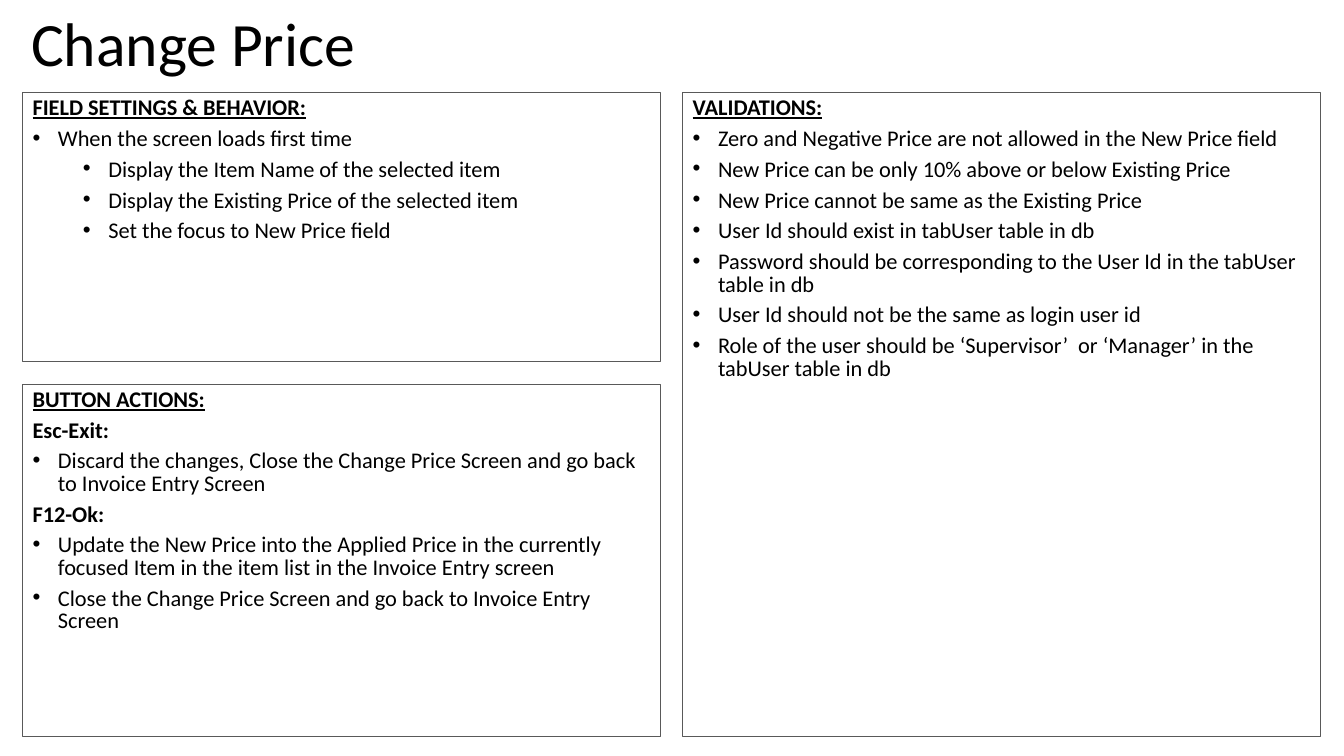
from lxml import etree
from pptx import Presentation
from pptx.dml.color import RGBColor
from pptx.enum.shapes import MSO_SHAPE
from pptx.enum.text import MSO_ANCHOR, MSO_AUTO_SIZE, PP_ALIGN
from pptx.oxml.ns import qn
from pptx.util import Cm, Pt

RECTANGLE = MSO_SHAPE.RECTANGLE
LEFT = PP_ALIGN.LEFT
TOP, MIDDLE = MSO_ANCHOR.TOP, MSO_ANCHOR.MIDDLE
NO_AUTOFIT = MSO_AUTO_SIZE.NONE

BLACK = RGBColor(0x00, 0x00, 0x00)
BORDER_GRAY = RGBColor(0x59, 0x59, 0x59)
FONT = "Calibri"
TITLE_ONLY_LAYOUT = 5

# Paragraph kinds used in the panels
HEADING, SUBHEADING, BULLET, SUB_BULLET = range(4)
TEXT_INDENT = {BULLET: Cm(0.64), SUB_BULLET: Cm(1.91)}
HANGING = Cm(0.64)

FIELD_SETTINGS = [
    (HEADING, "FIELD SETTINGS & BEHAVIOR:"),
    (BULLET, "When the screen loads first time"),
    (SUB_BULLET, "Display the Item Name of the selected item"),
    (SUB_BULLET, "Display the Existing Price of the selected item"),
    (SUB_BULLET, "Set the focus to New Price field"),
]
VALIDATIONS = [
    (HEADING, "VALIDATIONS:"),
    (BULLET, "Zero and Negative Price are not allowed in the New Price field"),
    (BULLET, "New Price can be only 10% above or below Existing Price"),
    (BULLET, "New Price cannot be same as the Existing Price"),
    (BULLET, "User Id should exist in tabUser table in db"),
    (BULLET, "Password should be corresponding to the User Id in the tabUser table in db"),
    (BULLET, "User Id should not be the same as login user id"),
    (BULLET, "Role of the user should be ‘Supervisor’  or ‘Manager’ in the tabUser table in db"),
]
BUTTON_ACTIONS = [
    (HEADING, "BUTTON ACTIONS:"),
    (SUBHEADING, "Esc-Exit:"),
    (BULLET, "Discard the changes, Close the Change Price Screen and go back to Invoice Entry Screen"),
    (SUBHEADING, "F12-Ok:"),
    (BULLET, "Update the New Price into the Applied Price in the currently focused Item "
             "in the item list in the Invoice Entry screen"),
    (BULLET, "Close the Change Price Screen and go back to Invoice Entry Screen"),
]


def write_text(paragraph, text, size=16, bold=False, underline=False,
               line_spacing=Pt(16), space=Pt(3)):
    paragraph.alignment = LEFT
    paragraph.line_spacing = line_spacing
    paragraph.space_before = paragraph.space_after = space
    run = paragraph.add_run()
    run.text = text
    font = run.font
    font.name, font.size = FONT, Pt(size)
    font.bold, font.underline = bold, underline
    font.color.rgb = BLACK


def add_bullet(paragraph, indent):
    properties = paragraph._p.get_or_add_pPr()
    properties.set("marL", str(indent))
    properties.set("indent", str(-HANGING))
    etree.SubElement(properties, qn("a:buFont"), typeface="Arial")
    etree.SubElement(properties, qn("a:buChar"), char="•")


def set_frame(text_frame, anchor):
    text_frame.word_wrap = True
    text_frame.auto_size = NO_AUTOFIT
    text_frame.vertical_anchor = anchor


def add_title(slide, text, left, top, width, height):
    title = slide.shapes.title
    title.left, title.top, title.width, title.height = left, top, width, height
    set_frame(title.text_frame, MIDDLE)
    write_text(title.text_frame.paragraphs[0], text, size=44,
               line_spacing=0.9, space=Pt(0))


def add_panel(slide, lines, left, top, width, height):
    panel = slide.shapes.add_shape(RECTANGLE, left, top, width, height)
    panel.shadow.inherit = False
    panel.fill.background()
    panel.line.color.rgb = BORDER_GRAY
    panel.line.width = Pt(0.75)
    text_frame = panel.text_frame
    set_frame(text_frame, TOP)
    for index, (kind, text) in enumerate(lines):
        paragraph = text_frame.add_paragraph() if index else text_frame.paragraphs[0]
        write_text(paragraph, text, bold=kind in (HEADING, SUBHEADING),
                   underline=kind == HEADING)
        if kind in TEXT_INDENT:
            paragraph.level = 1 if kind == SUB_BULLET else 0
            add_bullet(paragraph, TEXT_INDENT[kind])


def add_panels(slide, left, top, width, height):
    gap = Cm(0.57)
    upper_height = Cm(6.78)
    column_width = (width - gap) // 2
    lower_offset = upper_height + gap
    # Left column, upper panel
    add_panel(slide, FIELD_SETTINGS, left, top, column_width, upper_height)
    # Right column, full height
    add_panel(slide, VALIDATIONS, left + column_width + gap, top, column_width, height)
    # Left column, lower panel
    add_panel(slide, BUTTON_ACTIONS, left, top + lower_offset,
              column_width, height - lower_offset)


def main():
    presentation = Presentation()
    presentation.slide_width, presentation.slide_height = Cm(33.87), Cm(19.05)
    slide = presentation.slides.add_slide(presentation.slide_layouts[TITLE_ONLY_LAYOUT])
    add_title(slide, "Change Price", Cm(0.53), Cm(0.05), Cm(32.74), Cm(2.26))
    add_panels(slide, Cm(0.57), Cm(2.34), Cm(32.7), Cm(16.23))
    presentation.save("out.pptx")


if __name__ == "__main__":
    main()
